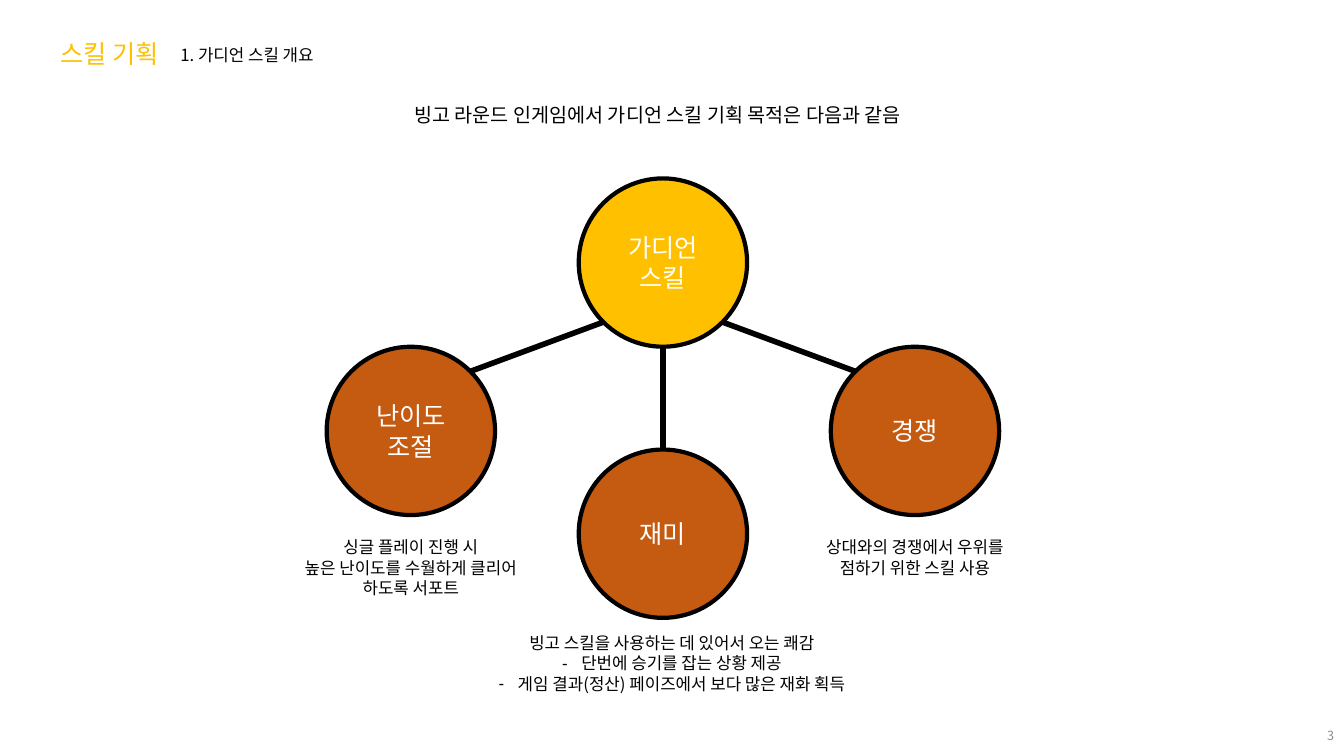
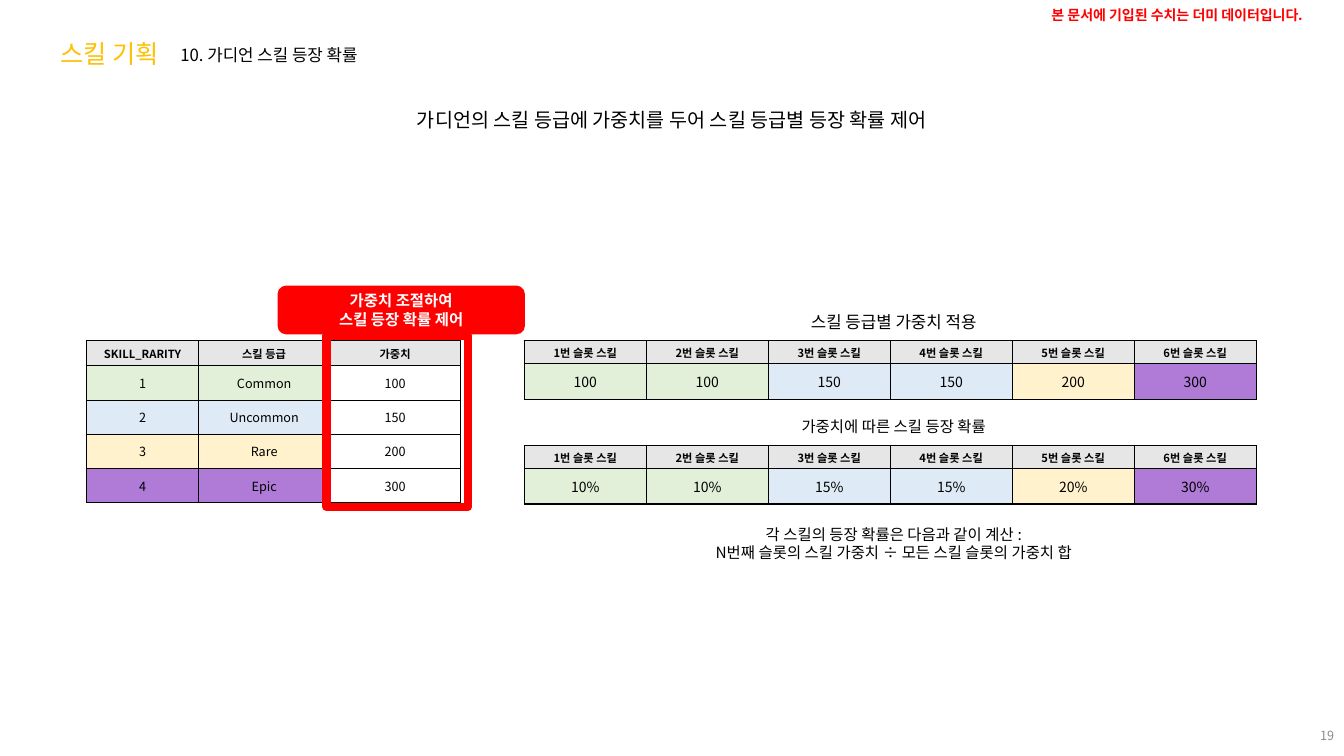
from dataclasses import dataclass
from math import sqrt
from typing import NamedTuple, Optional, Sequence

from lxml import etree
from pptx import Presentation
from pptx.dml.color import RGBColor
from pptx.enum.shapes import MSO_CONNECTOR, MSO_SHAPE
from pptx.enum.text import MSO_ANCHOR, MSO_AUTO_SIZE, PP_ALIGN
from pptx.oxml.ns import qn
from pptx.slide import Slide
from pptx.util import Inches, Pt

FONT = "Noto Sans CJK KR"
BLACK, WHITE, RED = "000000", "FFFFFF", "FF0000"
GOLD, RUST, PAGE_GREY, HEADER_GREY = "FFC000", "C55A11", "8C8C8C", "E7E6E6"
COMMON, UNCOMMON, RARE, EPIC = "E2F0D9", "DEEBF7", "FFF2CC", "B07BD7"
TITLE_ONLY, TITLE_AND_BODY = 5, 1
NOTE_WIDTH = 8.57
DIAMETER = 1.67


class Box(NamedTuple):
    left: float
    top: float
    width: float
    height: float

    def lengths(self) -> list:
        return [Inches(side) for side in self]


@dataclass(frozen=True)
class TextStyle:
    size: float
    color: str = BLACK
    bold: bool = False
    align: PP_ALIGN = PP_ALIGN.CENTER
    anchor: MSO_ANCHOR = MSO_ANCHOR.TOP


@dataclass(frozen=True)
class Circle:
    left: float
    top: float
    lines: Sequence[str]
    fill: str = RUST

    def rim(self, across: float, down: float) -> tuple:
        """Point on the rim in the direction of the unit vector (across, down)."""
        radius = DIAMETER / 2
        return (Inches(self.left + radius * (1 + across)),
                Inches(self.top + radius * (1 + down)))


@dataclass(frozen=True)
class Cell:
    text: str
    fill: Optional[str]


def rgb(color: str) -> RGBColor:
    return RGBColor.from_string(color)


def style_paragraph(paragraph, style: TextStyle) -> None:
    paragraph.alignment = style.align
    paragraph.space_before = Pt(0)
    font = paragraph.font
    font.size, font.bold, font.name = Pt(style.size), style.bold, FONT
    font.color.rgb = rgb(style.color)
    defaults = paragraph._p.pPr.find(qn("a:defRPr"))
    etree.SubElement(defaults, qn("a:ea"), typeface=FONT)


def set_bullet(paragraph, mark: Optional[str]) -> None:
    hang = Inches(0.19) if mark else 0
    properties = paragraph._p.get_or_add_pPr()
    properties.set("marL", str(hang))
    properties.set("indent", str(-hang))
    if mark:
        etree.SubElement(properties, qn("a:buChar"), char=mark)
    else:
        etree.SubElement(properties, qn("a:buNone"))


def write(frame, lines: Sequence[str], style: TextStyle,
          bullets: Sequence[Optional[str]] = ()) -> None:
    frame.word_wrap = True
    frame.auto_size = MSO_AUTO_SIZE.NONE
    frame.vertical_anchor = style.anchor
    frame.text = "\n".join(lines)
    for paragraph, mark in zip(frame.paragraphs, bullets):
        set_bullet(paragraph, mark)
    for paragraph in frame.paragraphs:
        style_paragraph(paragraph, style)


def place(placeholder, box: Box) -> None:
    placeholder.left, placeholder.top, placeholder.width, placeholder.height = box.lengths()


def add_text(slide: Slide, box: Box, style: TextStyle, *lines: str) -> None:
    write(slide.shapes.add_textbox(*box.lengths()).text_frame, lines, style)


def add_outlined(slide: Slide, preset: MSO_SHAPE, box: Box, fill: Optional[str],
                 line: str, weight: float):
    shape = slide.shapes.add_shape(preset, *box.lengths())
    shape.shadow.inherit = False
    if fill:
        shape.fill.solid()
        shape.fill.fore_color.rgb = rgb(fill)
    else:
        shape.fill.background()
    shape.line.color.rgb = rgb(line)
    shape.line.width = Pt(weight)
    return shape


def add_circle(slide: Slide, circle: Circle) -> None:
    box = Box(circle.left, circle.top, DIAMETER, DIAMETER)
    shape = add_outlined(slide, MSO_SHAPE.OVAL, box, circle.fill, BLACK, 3)
    write(shape.text_frame, circle.lines, TextStyle(18, WHITE, anchor=MSO_ANCHOR.MIDDLE))


def add_link(slide: Slide, start: tuple, end: tuple) -> None:
    link = slide.shapes.add_connector(MSO_CONNECTOR.STRAIGHT, *start, *end)
    link.line.color.rgb = rgb(BLACK)
    link.line.width = Pt(4)
    etree.SubElement(link._element.spPr, qn("a:effectLst"))


def add_borders(cell) -> None:
    """Black 1 pt borders; they have to precede the fill in the cell properties."""
    properties = cell._tc.get_or_add_tcPr()
    for index, side in enumerate(("a:lnL", "a:lnR", "a:lnT", "a:lnB")):
        border = etree.Element(qn(side), w=str(Pt(1)))
        solid = etree.SubElement(border, qn("a:solidFill"))
        etree.SubElement(solid, qn("a:srgbClr"), val=BLACK)
        properties.insert(index, border)


def add_grid(slide: Slide, left: float, top: float, widths: Sequence[float],
             heights: Sequence[float], rows: Sequence[Sequence[Cell]],
             body_size: float) -> None:
    box = Box(left, top, sum(widths), sum(heights))
    table = slide.shapes.add_table(len(rows), len(widths), *box.lengths()).table
    table.first_row = table.horz_banding = False
    for column, width in zip(table.columns, widths):
        column.width = Inches(width)
    for row, height in zip(table.rows, heights):
        row.height = Inches(height)
    for r, row in enumerate(rows):
        style = TextStyle(body_size) if r else TextStyle(8, bold=True)
        for c, content in enumerate(row):
            cell = table.cell(r, c)
            cell.margin_left = cell.margin_right = Inches(0.03)
            cell.margin_top = cell.margin_bottom = Inches(0.02)
            cell.vertical_anchor = MSO_ANCHOR.MIDDLE
            if content.fill:
                cell.fill.solid()
                cell.fill.fore_color.rgb = rgb(content.fill)
            else:
                cell.fill.background()
            add_borders(cell)
            cell.text = content.text
            style_paragraph(cell.text_frame.paragraphs[0], style)


def start_slide(deck, layout: int, topic: str, page: int) -> Slide:
    """Add a slide with the shared title, its topic and its page number."""
    slide = deck.slides.add_slide(deck.slide_layouts[layout])
    place(slide.shapes.title, Box(0.5, 0.33, 3.12, 0.4))
    write(slide.shapes.title.text_frame, ["스킬 기획"],
          TextStyle(18, GOLD, align=PP_ALIGN.LEFT))
    add_text(slide, Box(1.69, 0.39, 3.33, 0.3), TextStyle(12, align=PP_ALIGN.LEFT), topic)
    add_text(slide, Box(10.33, 7.1, 3, 0.4),
             TextStyle(9, PAGE_GREY, align=PP_ALIGN.RIGHT, anchor=MSO_ANCHOR.MIDDLE),
             str(page))
    return slide


def build_overview(deck) -> None:
    slide = start_slide(deck, TITLE_AND_BODY, "1. 가디언 스킬 개요", 3)
    add_text(slide, Box(2.24, 0.97, NOTE_WIDTH, 0.34), TextStyle(14),
             "빙고 라운드 인게임에서 가디언 스킬 기획 목적은 다음과 같음")

    guardian = Circle(5.74, 1.77, ["가디언", "스킬"], GOLD)
    fun = Circle(5.74, 4.46, ["재미"])
    rivalry = Circle(8.24, 3.44, ["경쟁"])
    difficulty = Circle(3.24, 3.44, ["난이도", "조절"])
    for circle in (guardian, fun, rivalry, difficulty):
        add_circle(slide, circle)
    diagonal = 1 / sqrt(2)
    for goal, across, down in ((fun, 0, 1), (difficulty, -diagonal, diagonal),
                               (rivalry, diagonal, diagonal)):
        add_link(slide, guardian.rim(across, down), goal.rim(-across, -down))

    caption = TextStyle(12)
    fun_notes = slide.placeholders[1]
    place(fun_notes, Box(2.38, 6.23, NOTE_WIDTH, 0.71))
    write(fun_notes.text_frame,
          ["빙고 스킬을 사용하는 데 있어서 오는 쾌감",
           "단번에 승기를 잡는 상황 제공",
           "게임 결과(정산) 페이즈에서 보다 많은 재화 획득"],
          caption, bullets=(None, "-", "-"))
    add_text(slide, Box(2.73, 5.28, 2.69, 0.71), caption,
             "싱글 플레이 진행 시\v높은 난이도를 수월하게 클리어", "하도록 서포트")
    add_text(slide, Box(7.73, 5.28, 2.69, 0.5), caption,
             "상대와의 경쟁에서 우위를", "점하기 위한 스킬 사용")


def build_probability(deck) -> None:
    slide = start_slide(deck, TITLE_ONLY, "10. 가디언 스킬 등장 확률", 19)
    add_text(slide, Box(2.38, 1.02, NOTE_WIDTH, 0.34), TextStyle(14),
             "가디언의 스킬 등급에 가중치를 두어 스킬 등급별 등장 확률 제어")
    add_text(slide, Box(10.33, 0.02, 3, 0.27),
             TextStyle(10, RED, bold=True, align=PP_ALIGN.LEFT),
             "본 문서에 기입된 수치는 더미 데이터입니다.")

    rarities = [("Common", 100, COMMON), ("Uncommon", 150, UNCOMMON),
                ("Rare", 200, RARE), ("Epic", 300, EPIC)]
    rarity_rows = [[Cell(head, HEADER_GREY) for head in ("SKILL_RARITY", "스킬 등급", "가중치")]]
    for number, (name, weight, tint) in enumerate(rarities, start=1):
        rarity_rows.append([Cell(str(number), tint), Cell(name, tint), Cell(str(weight), None)])
    add_grid(slide, 0.86, 3.38, [1.11, 1.3, 1.3], [0.25] + [0.34] * 4, rarity_rows, 9)

    slot_tints = [COMMON, COMMON, UNCOMMON, UNCOMMON, RARE, EPIC]
    slot_heads = [Cell(f"{slot}번 슬롯 스킬", HEADER_GREY) for slot in range(1, 7)]
    weights = [{tint: weight for _, weight, tint in rarities}[tint] for tint in slot_tints]
    chances = [f"{weight / sum(weights):.0%}" for weight in weights]
    for top, values in ((3.38, weights), (4.42, chances)):
        slot_values = [Cell(str(value), tint) for value, tint in zip(values, slot_tints)]
        add_grid(slide, 5.2, top, [1.21] * 6, [0.23, 0.35], [slot_heads, slot_values], 10)

    notes_left = 4.58
    add_text(slide, Box(notes_left, 3.04, NOTE_WIDTH, 0.3), TextStyle(12),
             "스킬 등급별 가중치 적용")
    add_text(slide, Box(notes_left, 4.09, NOTE_WIDTH, 0.29), TextStyle(11),
             "가중치에 따른 스킬 등장 확률")
    add_text(slide, Box(notes_left, 5.16, NOTE_WIDTH, 0.47), TextStyle(11),
             "각 스킬의 등장 확률은 다음과 같이 계산 :",
             "N번째 슬롯의 스킬 가중치 ÷ 모든 스킬 슬롯의 가중치 합")

    add_outlined(slide, MSO_SHAPE.RECTANGLE, Box(3.24, 3.33, 1.4, 1.7), None, RED, 6)
    callout = add_outlined(slide, MSO_SHAPE.ROUNDED_RECTANGLE,
                           Box(2.76, 2.84, 2.44, 0.47), RED, RED, 1)
    write(callout.text_frame, ["가중치 조절하여", "스킬 등장 확률 제어"],
          TextStyle(11, WHITE, bold=True, anchor=MSO_ANCHOR.MIDDLE))


def main() -> None:
    deck = Presentation()
    deck.slide_width, deck.slide_height = Inches(13.33), Inches(7.5)
    build_overview(deck)
    build_probability(deck)
    deck.save("out.pptx")


if __name__ == "__main__":
    main()
